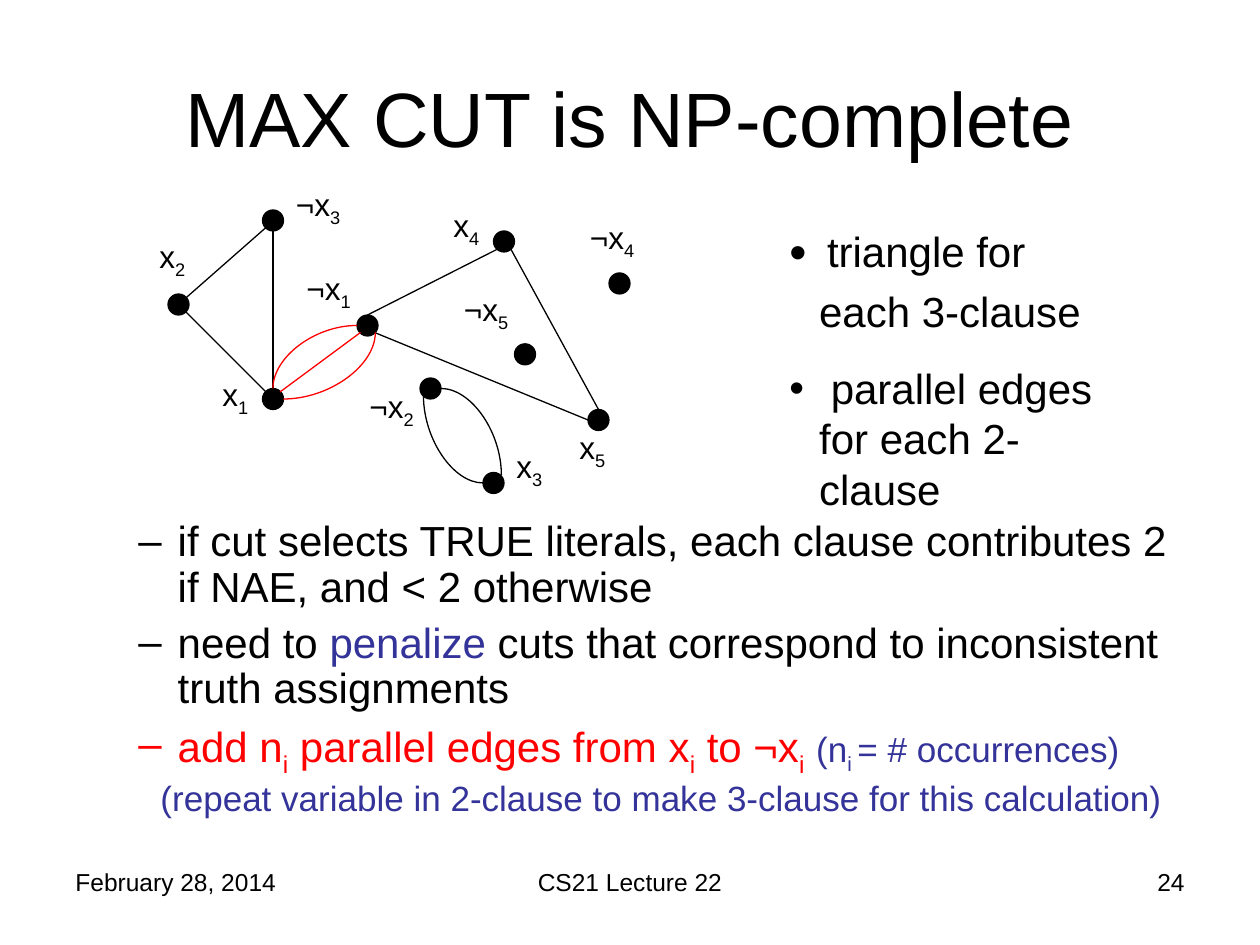
import pptx
import pptx.util
import pptx.dml.color
import pptx.enum.shapes
import pptx.enum.text
import pptx.oxml.ns
import lxml.etree

Pt = pptx.util.Pt
qn = pptx.oxml.ns.qn
Align = pptx.enum.text.PP_ALIGN
Fit = pptx.enum.text.MSO_AUTO_SIZE
Anchor = pptx.enum.text.MSO_ANCHOR
Kind = pptx.enum.shapes.MSO_CONNECTOR

HUES = {"ink": "000000", "red": "FF0000", "blue": "333399"}
DOT = 12

TITLE = "MAX CUT is NP-complete"
FOOT = [
    ("February 28, 2014", 36, 168, Align.LEFT),
    ("CS21 Lecture 22", 246, 228, Align.CENTER),
    ("24", 516, 168, Align.RIGHT),
]
BODY = [
    ("ink", 0, [("if cut selects TRUE literals, each clause contributes 2 if NAE, and < 2 otherwise", 24, "ink")]),
    ("ink", 6, [
        ("need to ", 24, "ink"),
        ("penalize", 24, "blue"),
        (" cuts that correspond to inconsistent truth assignments", 24, "ink"),
    ]),
    ("red", 5, [
        ("add n", 24, "red"),
        ("i", 24, "red", True),
        (" parallel edges from x", 24, "red"),
        ("i", 24, "red", True),
        (" to ¬x", 24, "red"),
        ("i", 24, "red", True),
        (" ", 24, "red"),
        ("(n", 20, "blue"),
        ("i ", 20, "blue", True),
        ("= # occurrences)", 20, "blue"),
    ]),
    (None, 5, [("(repeat variable in 2-clause to make 3-clause for this calculation)", 20, "blue")]),
]
SIDE = [
    (0, [(" ", 28, "ink", True), ("triangle for each 3-clause", 24, "ink")]),
    (15, [(" parallel edges for each 2-clause", 24, "ink")]),
]
NODES = [
    ("¬x", "2", (204, 180), (204, 217.5)),
    ("x", "1", (150, 222), (120, 211)),
    ("x", "3", (240, 216 + 54), (288, 252)),
    ("¬x", "1", (204, 150), (168, 150)),
    ("x", "4", (282, 132), (252, 114)),
    ("¬x", "4", (348, 156), (330, 121)),
    ("x", "5", (336, 234), (324, 241)),
    ("x", "2", (96, 168), (84, 132)),
    ("¬x", "5", (294, 196.5), (258, 162)),
    ("¬x", "3", (150, 120), (162, 102)),
]
SPOTS = {
    ("¬x", "2"): (240, 216),
    ("x", "3"): (276, 270),
    ("¬x", "1"): (204, 180),
}
EDGES = [
    ("ink", (152, 224), (106, 178)),
    ("ink", (106.5, 170), (152, 130)),
    ("ink", (156, 132), (156, 222)),
    ("ink", (210, 180), (284, 142.5)),
    ("ink", (292, 142.5), (342, 234)),
    ("ink", (336, 240), (214, 190)),
    ("red", (206, 190), (160, 224)),
]
ARCS = [
    ("ink", (252, 222), (286.5, 271.5)),
    ("ink", (276, 276), (242, 226)),
    ("red", (204, 186), (156, 222)),
    ("red", (162, 228), (214.5, 190)),
]


def hue(name):
    return pptx.dml.color.RGBColor.from_string(HUES[name])


def apply(item, form):
    for key, val in form.items():
        setattr(item, key, val)


def add_box(slide, left, top, wide, high, **form):
    frame = slide.shapes.add_textbox(Pt(left), Pt(top), Pt(wide), Pt(high)).text_frame
    apply(frame, {"word_wrap": True, **form})
    return frame


def add_para(frame, runs, mark=None, inset=None, **form):
    para = frame.paragraphs[0]
    if para.runs:
        para = frame.add_paragraph()
    props = para._p.get_or_add_pPr()
    if inset:
        props.set("marL", str(Pt(inset[0])))
        props.set("indent", str(Pt(inset[1])))
    if mark:
        tint = lxml.etree.SubElement(props, qn("a:buClr"))
        lxml.etree.SubElement(tint, qn("a:srgbClr")).set("val", HUES[mark[1]])
        lxml.etree.SubElement(props, qn("a:buFont")).set("typeface", "Arial")
        lxml.etree.SubElement(props, qn("a:buChar")).set("char", mark[0])
    apply(para, form)
    for text, size, tone, *sub in runs:
        run = para.add_run()
        run.text = text
        apply(run.font, {"name": "Arial", "size": Pt(size)})
        run.font.color.rgb = hue(tone)
        if sub:
            run._r.get_or_add_rPr().set("baseline", "-25000")


def add_edge(slide, tone, start, end, bent=False):
    kind = Kind.CURVE if bent else Kind.STRAIGHT
    edge = slide.shapes.add_connector(kind, *map(Pt, start + end))
    edge.line.width = Pt(0.75)
    edge.line.color.rgb = hue(tone)
    props = edge._element.spPr
    if bent:
        props.find(qn("a:prstGeom")).set("prst", "curvedConnector2")
    lxml.etree.SubElement(props, qn("a:effectLst"))


def add_node(slide, spot):
    node = slide.shapes.add_shape(
        pptx.enum.shapes.MSO_SHAPE.OVAL, *map(Pt, spot + (DOT, DOT)))
    node.shadow.inherit = False
    node.fill.solid()
    node.fill.fore_color.rgb = node.line.color.rgb = hue("ink")
    node.line.width = Pt(0.75)


def main():
    deck = pptx.Presentation()
    apply(deck, {"slide_width": Pt(720), "slide_height": Pt(540)})
    slide = deck.slides.add_slide(deck.slide_layouts[6])

    for text, left, wide, align in FOOT:
        frame = add_box(slide, left, 492, wide, 37.5)
        add_para(frame, [(text, 14, "ink")], alignment=align)

    frame = add_box(slide, 36, 21.5, 648, 90, vertical_anchor=Anchor.MIDDLE)
    add_para(frame, [(TITLE, 44, "ink")], alignment=Align.CENTER)

    frame = add_box(slide, 36, 294, 648, 189)
    for tone, gap, runs in BODY:
        add_para(frame, runs, ("–", tone) if tone else None, (58.5, -22.5),
                 level=1, line_spacing=0.9, space_before=Pt(gap),
                 alignment=Align.LEFT if tone else Align.CENTER)

    for sign, sub, spot, tag in NODES:
        add_node(slide, SPOTS.get((sign, sub), spot))
        wide = 60 if len(sign) > 1 else 54
        frame = add_box(slide, *tag, wide, 31.5, auto_size=Fit.SHAPE_TO_FIT_TEXT)
        add_para(frame, [(sign, 18, "ink"), (sub, 18, "ink", True)])

    frame = add_box(slide, 444, 121.5, 204, 147, auto_size=Fit.SHAPE_TO_FIT_TEXT)
    for gap, runs in SIDE:
        add_para(frame, runs, ("•", "ink"), (17, -17), space_before=Pt(gap))

    for edge in EDGES:
        add_edge(slide, *edge)
    for arc in ARCS:
        add_edge(slide, *arc, bent=True)

    deck.save("out.pptx")


if __name__ == "__main__":
    main()
